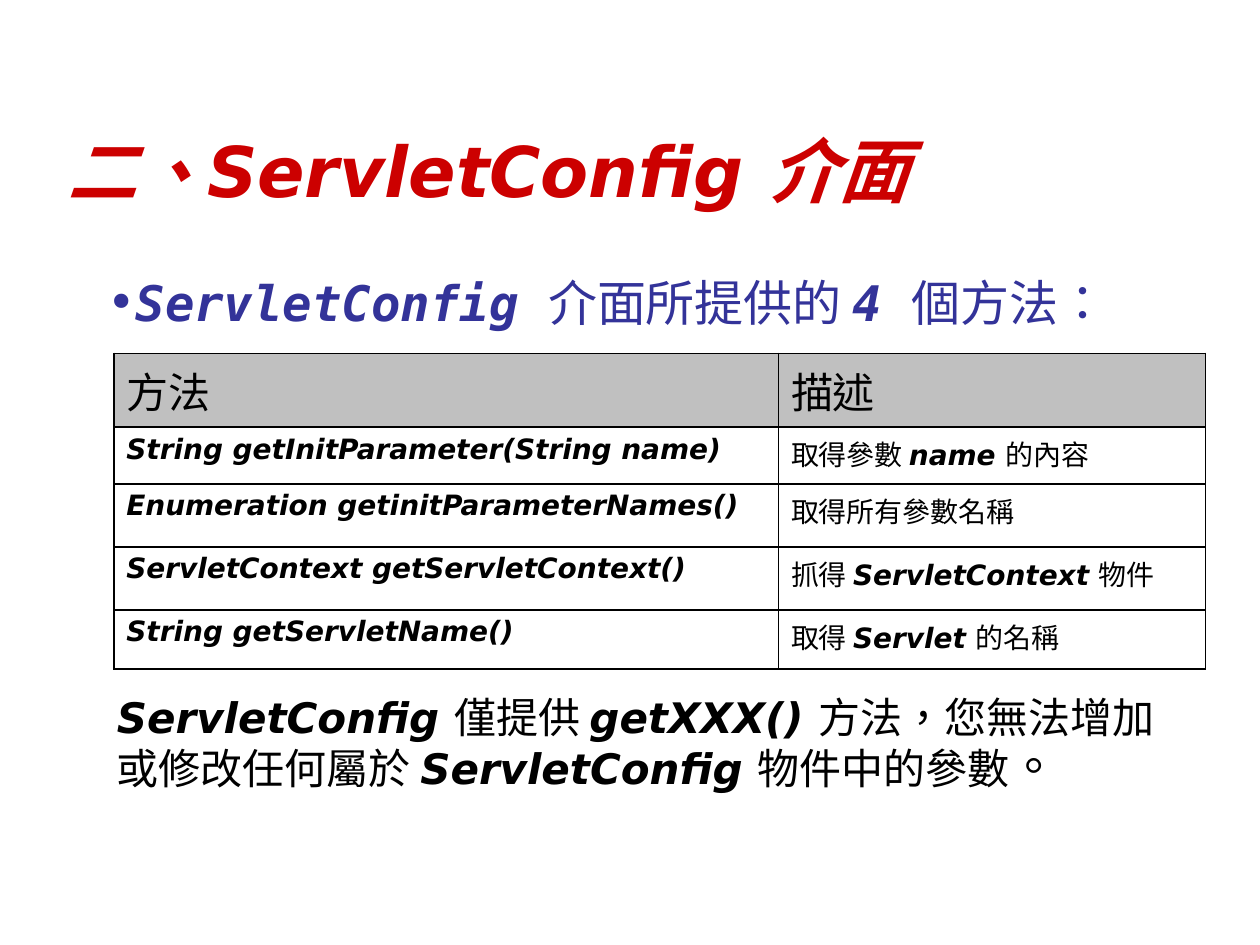
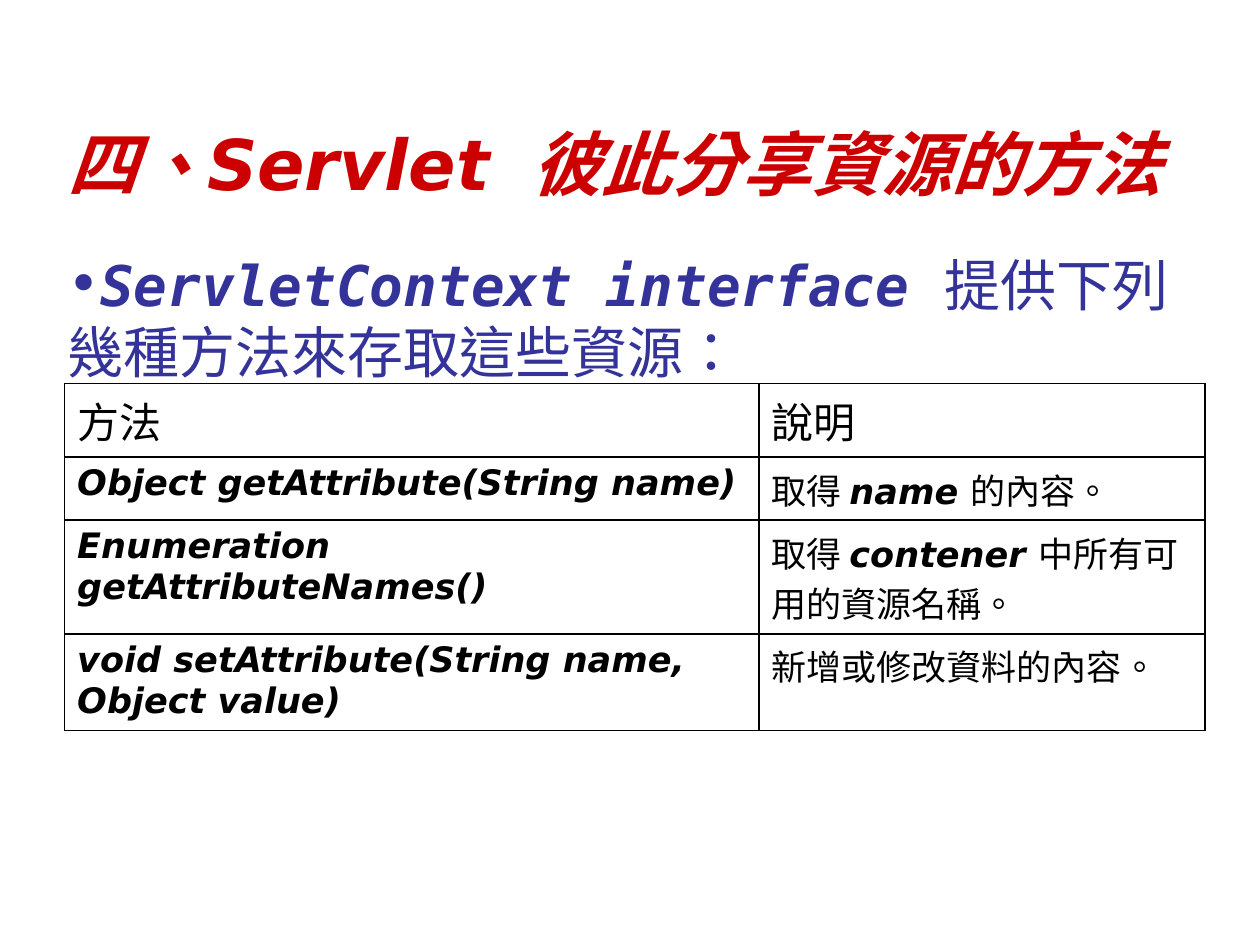
from dataclasses import dataclass

from lxml import etree
from pptx import Presentation
from pptx import util as u
from pptx.dml import color
from pptx.enum import text
from pptx.oxml import ns


@dataclass(frozen=True)
class Theme:
    sans: str = "DejaVu Sans"
    mono: str = "DejaVu Sans Mono"
    title_colour: str = "CC0000"
    lead_colour: str = "333399"
    ink: str = "000000"
    paper: str = "FFFFFF"
    header_grey: str = "C0C0C0"
    title_size: int = 40
    lead_size: int = 32
    compact_lead_size: int = 28
    text_size: int = 24
    cell_size: int = 20
    compact_cell_size: int = 16
    border_width: int = 1


COLUMNS, ROWS = 100, 75


class Deck:
    """Holds the style and the current slide; lengths are grid columns and rows."""

    def __init__(self, theme):
        self.theme = theme
        self.presentation = Presentation()
        self.presentation.slide_width = u.Inches(10)
        self.presentation.slide_height = u.Inches(7.5)
        self.slide = None

    def new_slide(self):
        self.slide = self.presentation.slides.add_slide(self.presentation.slide_layouts[6])

    def across(self, columns):
        return int(self.presentation.slide_width * columns / COLUMNS)

    def down(self, rows):
        return int(self.presentation.slide_height * rows / ROWS)

    def area(self, left, top, width, height):
        return self.across(left), self.down(top), self.across(width), self.down(height)

    def run(self, paragraph, words, size, colour, font, strong=None):
        """Unless told otherwise, code words (plain ASCII) are bold italic."""
        run = paragraph.add_run()
        run.text = words
        run.font.size = u.Pt(size)
        run.font.name = font
        run.font.bold = run.font.italic = words.isascii() if strong is None else strong
        run.font.color.rgb = color.RGBColor.from_string(colour)
        run._r.get_or_add_rPr().set("lang", "zh-TW")

    def text_box(self, area, anchor=text.MSO_ANCHOR.TOP, spacing=None):
        frame = self.slide.shapes.add_textbox(*self.area(*area)).text_frame
        frame.word_wrap = True
        frame.vertical_anchor = anchor
        paragraph = frame.paragraphs[0]
        if spacing:
            paragraph.line_spacing = spacing
        return paragraph

    def title(self, area, runs):
        paragraph = self.text_box(area, text.MSO_ANCHOR.MIDDLE)
        for words, font in runs:
            self.run(paragraph, words, self.theme.title_size, self.theme.title_colour, font, True)

    def lead(self, area, runs, size, spacing=None):
        paragraph = self.text_box(area, spacing=spacing)
        properties = paragraph._p.get_or_add_pPr()
        etree.SubElement(properties, ns.qn("a:buFont"), typeface=self.theme.sans)
        etree.SubElement(properties, ns.qn("a:buChar"), char="•")
        for words in runs:
            self.run(paragraph, words, size, self.theme.lead_colour, self.theme.mono)

    def note(self, area, runs, spacing):
        paragraph = self.text_box(area, spacing=spacing)
        for words, size in runs:
            self.run(paragraph, words, size, self.theme.ink, self.theme.sans)

    def border(self, cell):
        properties = cell._tc.get_or_add_tcPr()
        for side in ("a:lnL", "a:lnR", "a:lnT", "a:lnB"):
            line = etree.SubElement(properties, ns.qn(side), w=str(u.Pt(self.theme.border_width)))
            fill = etree.SubElement(line, ns.qn("a:solidFill"))
            etree.SubElement(fill, ns.qn("a:srgbClr"), val=self.theme.ink)

    def table(self, left, top, widths, heights, cells, size, header_fill):
        """Each cell is a list of runs; the first row is the header."""
        area = self.area(left, top, sum(widths), sum(heights))
        table = self.slide.shapes.add_table(len(heights), len(widths), *area).table
        table.first_row = table.horz_banding = False
        for column, width in zip(table.columns, widths):
            column.width = self.across(width)
        for index, (row, height) in enumerate(zip(table.rows, heights)):
            row.height = self.down(height)
            fill = self.theme.paper if index else header_fill
            run_size = size if index else self.theme.text_size
            for cell, runs in zip(row.cells, cells[index]):
                self.border(cell)
                cell.fill.solid()
                cell.fill.fore_color.rgb = color.RGBColor.from_string(fill)
                for words in runs:
                    self.run(cell.text_frame.paragraphs[0], words, run_size,
                             self.theme.ink, self.theme.sans)


def servlet_config(deck):
    theme = deck.theme
    deck.new_slide()
    deck.title((4.35, 9.1, 90, 8.7), [("二、ServletConfig 介面", theme.sans)])
    deck.lead((7.5, 21.7, 85, 5.6), ["ServletConfig ", "介面所提供的 ", "4 ", "個方法："],
              theme.compact_lead_size, spacing=0.9)
    deck.table(9.03, 28.05, [52.75, 33.9], [5.85, 4.5, 5, 5, 4.7], [
        (["方法"], ["描述"]),
        (["String getInitParameter(String name)"], ["取得參數 ", "name ", "的內容"]),
        (["Enumeration getinitParameterNames()"], ["取得所有參數名稱"]),
        (["ServletContext getServletContext()"], ["抓得 ", "ServletContext ", "物件"]),
        (["String getServletName()"], ["取得 ", "Servlet ", "的名稱"]),
    ], theme.compact_cell_size, theme.header_grey)
    sentence = ["ServletConfig ", "僅提供 ", "getXXX() ", "方法，您無法增加或修改任何屬於 ",
                "ServletConfig ", "物件中的參數"]
    runs = [(words, theme.text_size) for words in sentence]
    deck.note((8.3, 54.85, 85, 8.7), runs + [("。", theme.compact_lead_size)], spacing=0.9)


def shared_resources(deck):
    theme = deck.theme
    deck.new_slide()
    deck.title((4.35, 6.65, 93.2, 12.5), [
        ("四、", theme.mono), ("Servlet", theme.sans), (" 彼此分享資源的方法", theme.mono)])
    deck.lead((4.35, 19.4, 91.4, 11.1),
              ["ServletContext interface ", "提供下列幾種方法來存取這些資源："], theme.lead_size)
    deck.table(5.13, 30.42, [55.1, 35.4], [5.85, 5, 9.05, 7.45], [
        (["方法"], ["說明"]),
        (["Object getAttribute(String name)"], ["取得 ", "name ", "的內容。"]),
        (["Enumeration getAttributeNames()"], ["取得 ", "contener ", "中所有可用的資源名稱。"]),
        (["void setAttribute(String name, Object value)"], ["新增或修改資料的內容。"]),
    ], theme.cell_size, theme.paper)


def main():
    deck = Deck(Theme())
    servlet_config(deck)
    shared_resources(deck)
    deck.presentation.save("out.pptx")


if __name__ == "__main__":
    main()
